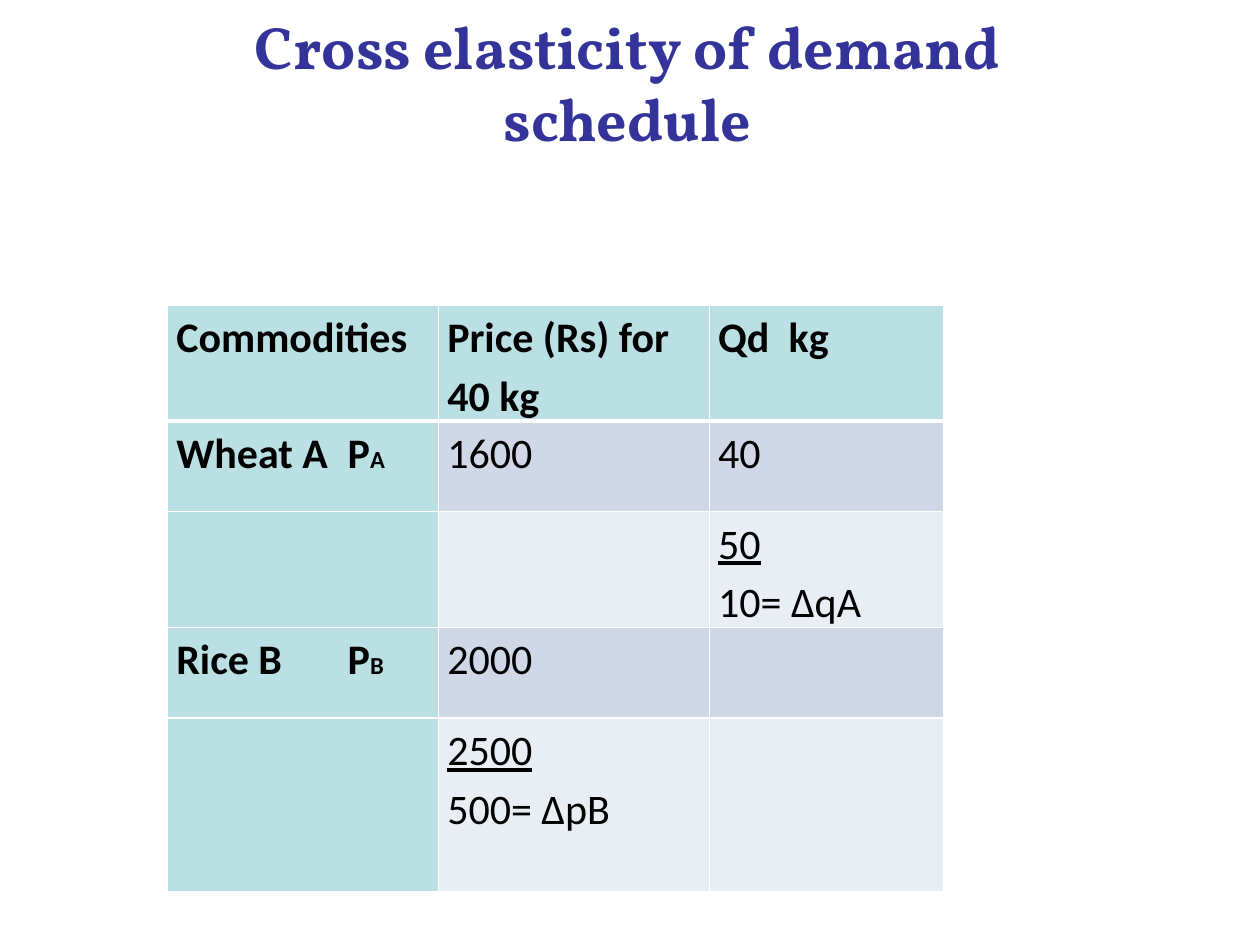
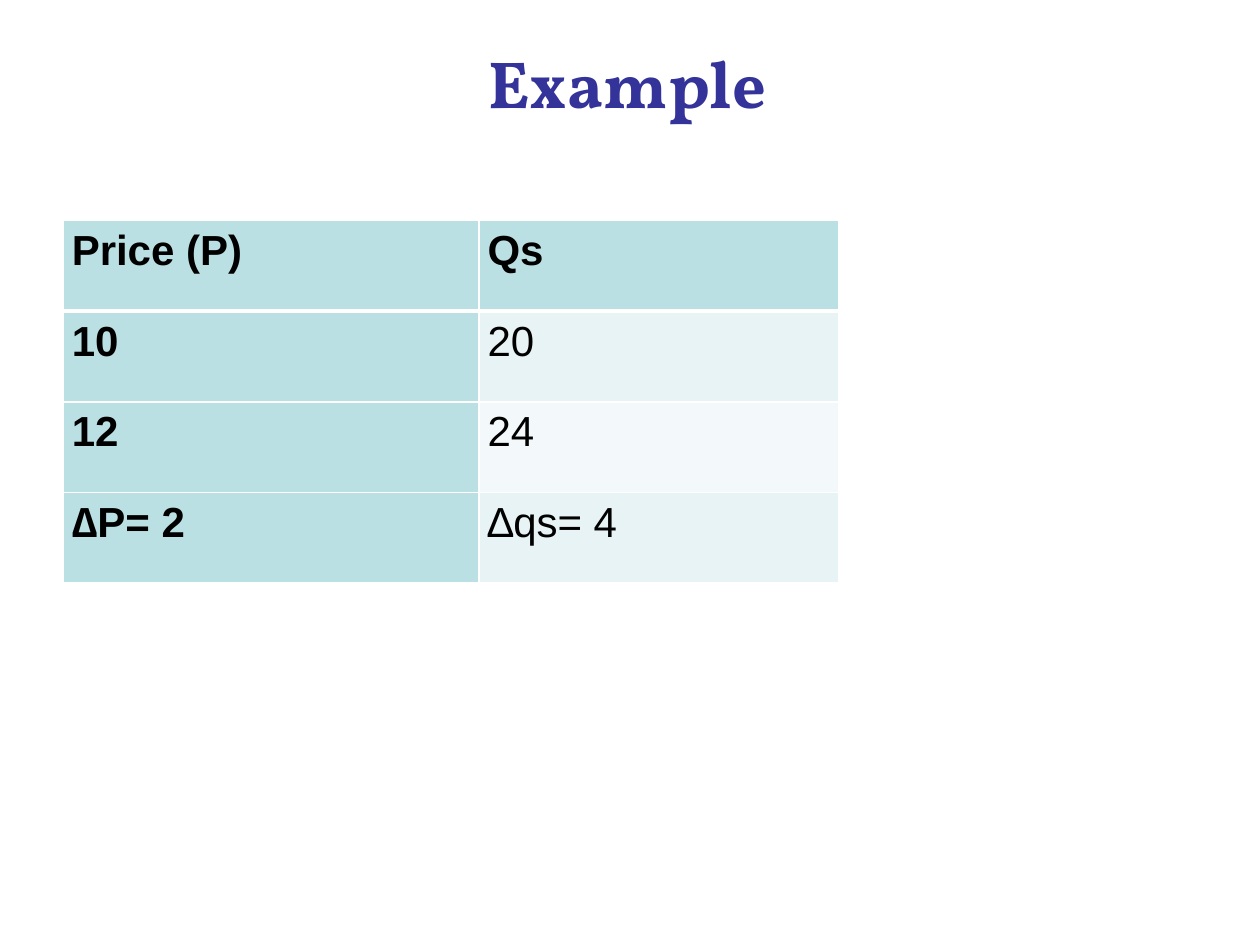
from lxml.etree import SubElement
from pptx import Presentation
from pptx.dml.color import RGBColor
from pptx.enum.text import MSO_ANCHOR, PP_ALIGN
from pptx.oxml.ns import qn
from pptx.util import Inches, Pt

COLORS = {
    "title": "333399", "text": "000000", "border": "FFFFFF", "header": "BBE0E3",
    "blue_dark": "D0D8E8", "blue_light": "E9EDF4",
    "teal_dark": "E7F3F4", "teal_light": "F3F9FA",
}
TITLE_FONT = "Vollkorn"
TITLE_BOX = (0.38, 0.28, 9.2, 0.74)
SUBSCRIPT_MARK = "|"

SLIDES = [
    {
        "title": "Cross elasticity of demand\vschedule", "title_size": 34.2,
        "font": "Calibri", "bands": ("blue_dark", "blue_light"),
        "corner": (1.33, 2.42),
        "columns": (2.15, 2.15, 1.86),
        "heights": (0.92, 0.72, 0.92, 0.72, 1.38),
        "tabs": (1.36, None, 0.56),
        "rows": [
            ("Commodities", "Price (Rs) for 40 kg", "Qd\tkg"),
            ("Wheat A\tP|A", "1600", "40"),
            ("", "", "50\n10= ∆qA"),
            ("Rice B\tP|B", "2000", ""),
            ("", "2500\n500= ∆pB", ""),
        ],
    },
    {
        "title": "Example", "title_size": 38,
        "font": "Arial", "bands": ("teal_dark", "teal_light"),
        "corner": (0.5, 1.75),
        "columns": (3.3, 2.86),
        "heights": (0.72,) * 4,
        "tabs": (None, None),
        "rows": [
            ("Price (P)", "Qs"),
            ("10", "20"),
            ("12", "24"),
            ("∆P= 2", "∆qs= 4"),
        ],
    },
]


def style(span, font, size, color, bold):
    span.font.name = font
    span.font.size = Pt(size)
    span.font.bold = bold
    span.font.color.rgb = RGBColor.from_string(COLORS[color])


def add_title(page, text, size):
    box = page.shapes.add_textbox(*map(Inches, TITLE_BOX))
    frame = box.text_frame
    frame.word_wrap = True
    frame.vertical_anchor = MSO_ANCHOR.MIDDLE
    para = frame.paragraphs[0]
    para.text = text
    para.alignment = PP_ALIGN.CENTER
    for span in para.runs:
        style(span, TITLE_FONT, size, "title", True)


def set_borders(cell, row):
    properties = cell._tc.get_or_add_tcPr()
    widths = {"lnL": 1, "lnR": 1, "lnT": 3 if row == 1 else 1, "lnB": 3 if row == 0 else 1}
    for side, width in widths.items():
        line = SubElement(properties, qn(f"a:{side}"), w=str(Pt(width)))
        fill = SubElement(line, qn("a:solidFill"))
        SubElement(fill, qn("a:srgbClr"), val=COLORS["border"])


def add_tab_stop(para, position):
    stops = SubElement(para._p.get_or_add_pPr(), qn("a:tabLst"))
    SubElement(stops, qn("a:tab"), pos=str(Inches(position)), algn="l")


def write_cell(cell, text, font, bold, tab):
    cell.text_frame.text = text.replace(SUBSCRIPT_MARK, "")
    lines = text.split("\n")
    for index, (para, line) in enumerate(zip(cell.text_frame.paragraphs, lines)):
        para.line_spacing = 1.15
        if "\t" in line:
            add_tab_stop(para, tab)
        body, mark, subscript = line.partition(SUBSCRIPT_MARK)
        if mark:
            para.text = body
            para.add_run().text = subscript
        for position, span in enumerate(para.runs):
            style(span, font, 14 if position else 24, "text", bold)
            if len(lines) > 1 and index == 0:
                span.font.underline = True


def add_schedule(page, content):
    columns, heights = content["columns"], content["heights"]
    lengths = (*content["corner"], sum(columns), sum(heights))
    table = page.shapes.add_table(len(heights), len(columns), *map(Inches, lengths)).table
    for column, width in zip(table.columns, columns):
        column.width = Inches(width)
    for row, values in enumerate(content["rows"]):
        table.rows[row].height = Inches(heights[row])
        for column, text in enumerate(values):
            cell = table.cell(row, column)
            cell.margin_left = cell.margin_right = Inches(0.07)
            cell.margin_top = cell.margin_bottom = 0
            heading = row == 0 or column == 0
            set_borders(cell, row)
            cell.fill.solid()
            color = "header" if heading else content["bands"][(row - 1) % 2]
            cell.fill.fore_color.rgb = RGBColor.from_string(COLORS[color])
            write_cell(cell, text, content["font"], heading, content["tabs"][column])


def main():
    deck = Presentation()
    deck.slide_width, deck.slide_height = Inches(10), Inches(7.5)
    for content in SLIDES:
        page = deck.slides.add_slide(deck.slide_layouts[6])
        add_title(page, content["title"], content["title_size"])
        add_schedule(page, content)
    deck.save("out.pptx")


if __name__ == "__main__":
    main()
